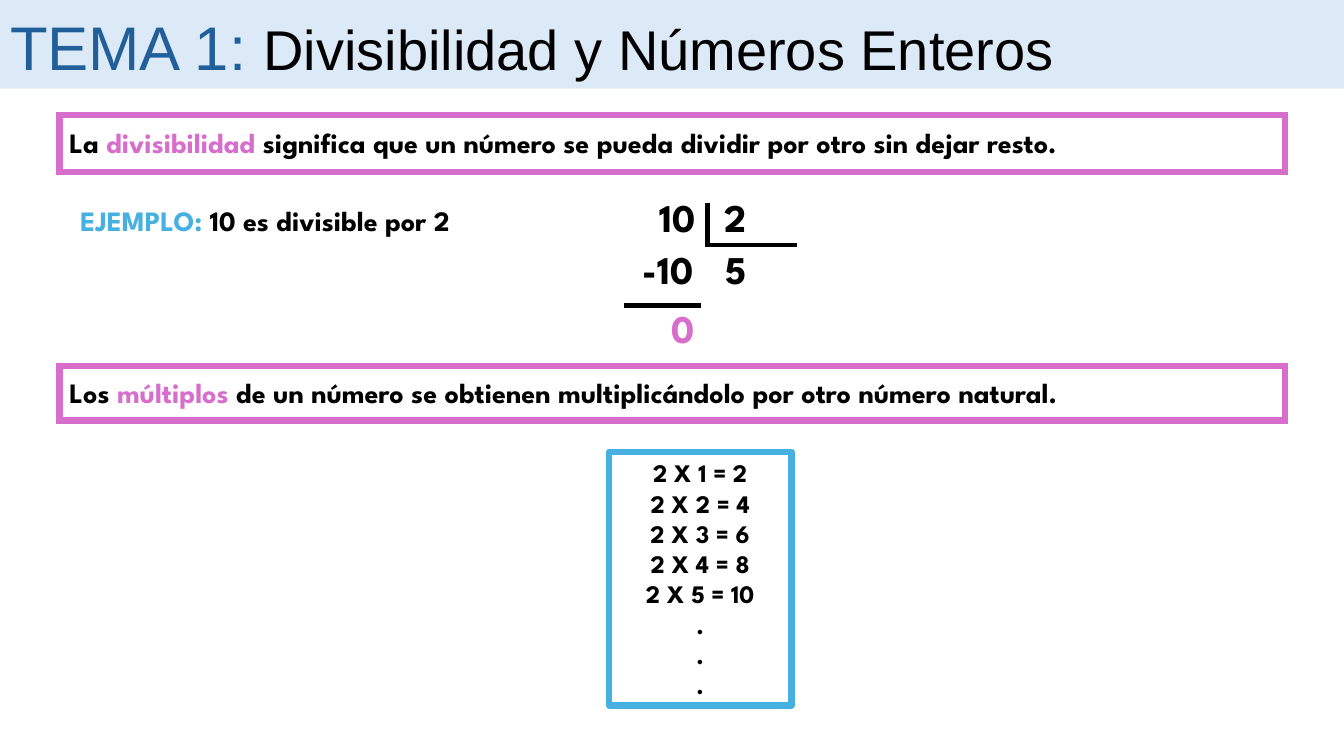
"""Build the slide on divisibility and multiples."""
import pptx
import pptx.util
import pptx.dml.color
import pptx.enum.shapes
import pptx.enum.text
import pptx.oxml
import pptx.oxml.ns

Pt = pptx.util.Pt
Align = pptx.enum.text.PP_ALIGN
Anchor = pptx.enum.text.MSO_ANCHOR
RECT = pptx.enum.shapes.MSO_SHAPE.RECTANGLE
LINE = pptx.enum.shapes.MSO_CONNECTOR.STRAIGHT
FONT = "League Spartan"
COLORS = {"black": "000000", "pink": "D86ECC", "sky": "46B1E1",
          "pale": "DCEAF7", "navy": "215F9A"}
RGB = {name: pptx.dml.color.RGBColor.from_string(code) for name, code in COLORS.items()}

deck = pptx.Presentation()
deck.slide_width, deck.slide_height = Pt(960), Pt(540)
slide = deck.slides.add_slide(deck.slide_layouts[5])
shapes = slide.shapes


def add_text(left, top, width, height, size, align, runs):
    box = shapes.add_textbox(Pt(left), Pt(top), Pt(width), Pt(height))
    box.text_frame.word_wrap = True
    para = box.text_frame.paragraphs[0]
    para.alignment = align
    para.font.name, para.font.size, para.font.bold = FONT, Pt(size), True
    for text, color in runs:
        run = para.add_run()
        run.text = text
        run.font.color.rgb = RGB[color]


def add_frame(left, top, width, height, color):
    frame = shapes.add_shape(RECT, Pt(left), Pt(top), Pt(width), Pt(height))
    frame.shadow.inherit = False
    frame.fill.background()
    frame.line.color.rgb = RGB[color]
    frame.line.width = Pt(4.5)
    return frame


rules = [
    (82, 41, 86.4, "La ", "divisibilidad",
     " significa que un número se pueda dividir por otro sin dejar resto."),
    (261.4, 39, 265, "Los ", "múltiplos",
     " de un número se obtienen multiplicándolo por otro número natural."),
]
for top, height, text_top, start, term, end in rules:
    frame = add_frame(42.5, top, 875.5, height, "pink")
    miter = pptx.oxml.parse_xml(
        f'<a:miter {pptx.oxml.ns.nsdecls("a")} lim="800000"/>')
    frame.line.fill
    frame.element.spPr.find(pptx.oxml.ns.qn("a:ln")).append(miter)
    add_text(42.5, text_top, 875.5, 31.5, 20, Align.LEFT,
             [(start, "black"), (term, "pink"), (end, "black")])

add_text(50.4, 141.8, 463.7, 31.5, 20, Align.LEFT,
         [("EJEMPLO: ", "sky"), ("10 es divisible por 2", "black")])

digits = [
    ("10", 449.3, 134.6, 54.7, Align.RIGHT, "black"),
    ("2", 498.2, 134.6, 54.7, Align.CENTER, "black"),
    ("5", 498.2, 172, 54.7, Align.CENTER, "black"),
    ("-10", 436.3, 171.4, 66.2, Align.RIGHT, "black"),
    ("0", 448.6, 213.8, 54.7, Align.RIGHT, "pink"),
]
for text, left, top, width, align, color in digits:
    add_text(left, top, width, 41, 28, align, [(text, color)])

strokes = [
    (505.4, 144.7, 505.4, 176.4),
    (504.7, 175, 569.5, 175),
    (445.7, 218.2, 500.4, 218.2),
]
for ends in strokes:
    stroke = shapes.add_connector(LINE, *map(Pt, ends))
    stroke.line.color.rgb = RGB["black"]
    stroke.line.width = Pt(3)
    stroke.element.spPr.append(
        pptx.oxml.parse_xml(f'<a:effectLst {pptx.oxml.ns.nsdecls("a")}/>'))

table = add_frame(435, 322.6, 130.3, 181.4, "sky").text_frame
table.word_wrap = True
table.text = "\n".join([f"2 X {n} = {2 * n}" for n in range(1, 6)] + ["."] * 3)
for para in table.paragraphs:
    para.alignment = Align.CENTER
    para.font.name, para.font.size, para.font.bold = FONT, Pt(18), True
    para.font.color.rgb = RGB["black"]

band = shapes.add_shape(RECT, 0, 0, Pt(960), Pt(63.4))
band.shadow.inherit = False
band.fill.solid()
band.fill.fore_color.rgb = RGB["pale"]
band.line.fill.background()

title = shapes.title
title.element.getparent().append(title.element)
title.left, title.top, title.width, title.height = 0, Pt(2.9), Pt(853.2), Pt(60.5)
title.text_frame.word_wrap = True
title.text_frame.auto_size = pptx.enum.text.MSO_AUTO_SIZE.NONE
title.text_frame.vertical_anchor = Anchor.TOP
para = title.text_frame.paragraphs[0]
para.alignment = Align.LEFT
para.font.name = "Arial"
for text, size, color in [("TEMA 1: ", 44, "navy"),
                          ("Divisibilidad y Números Enteros", 40, "black")]:
    run = para.add_run()
    run.text = text
    run.font.size = Pt(size)
    run.font.color.rgb = RGB[color]

deck.save("out.pptx")
